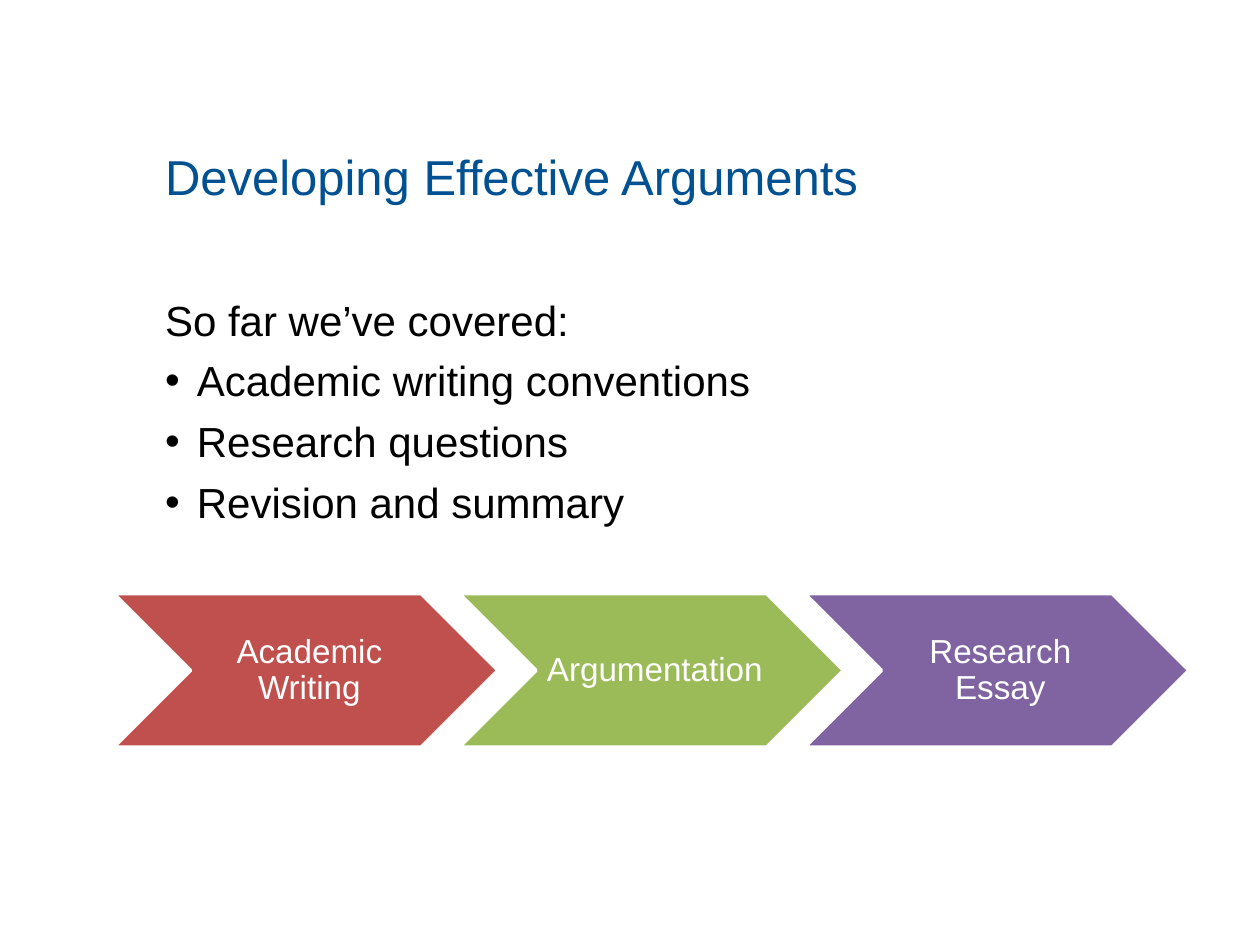
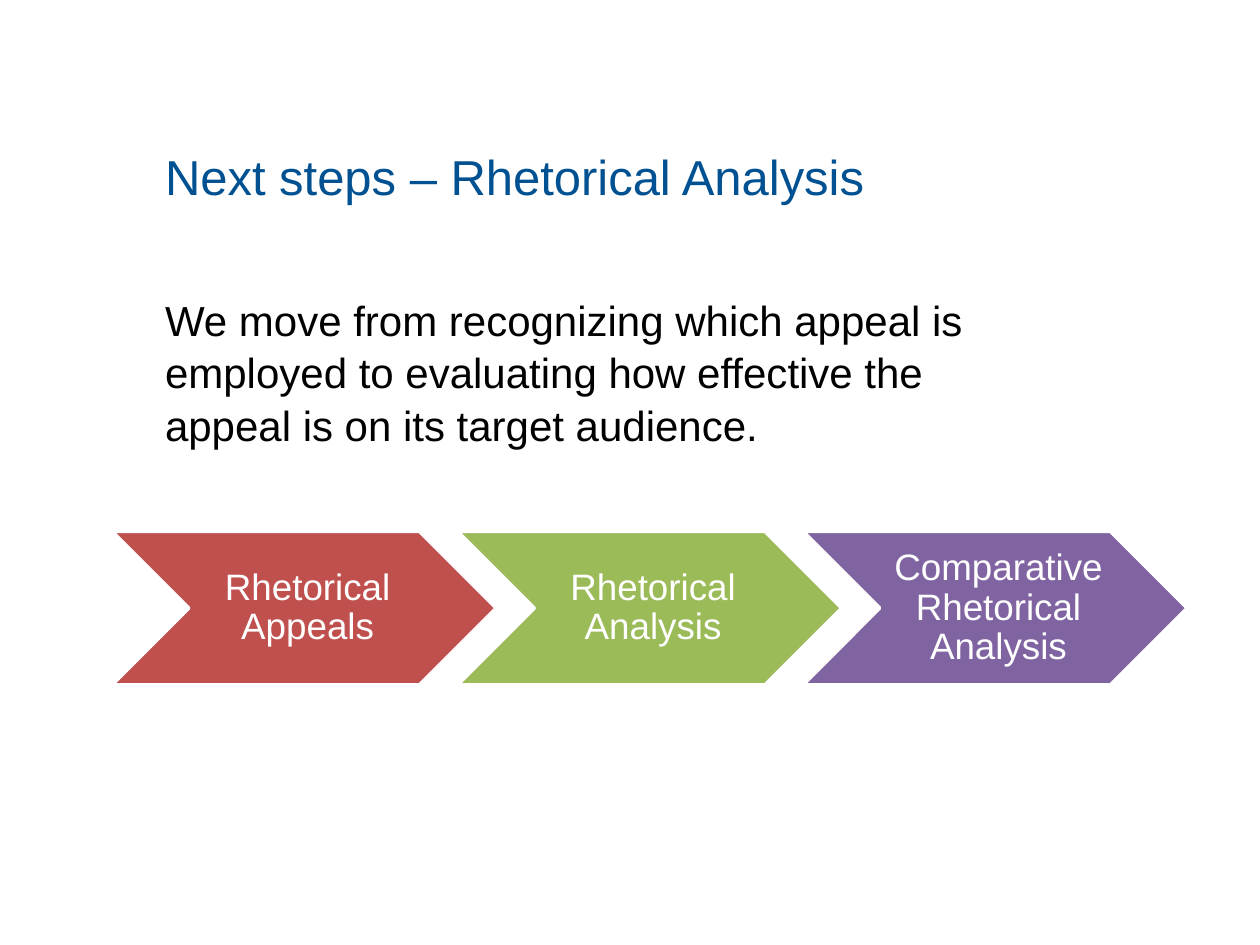
"""Build two slides on argument and rhetorical analysis, each with a chevron process."""
from lxml.etree import SubElement
from pptx import Presentation
from pptx.dml.color import RGBColor
from pptx.enum.shapes import MSO_SHAPE
from pptx.enum.text import MSO_ANCHOR, MSO_AUTO_SIZE, PP_ALIGN
from pptx.oxml.ns import qn
from pptx.util import Pt

COLORS = {
    "title": "005191",
    "body": "000000",
    "white": "FFFFFF",
    "red": "C0504D",
    "green": "9BBB59",
    "purple": "8064A2",
}
FONT = "Arial"
CHEVRON_FILLS = ("red", "green", "purple")
CHEVRON_WIDTH, CHEVRON_HEIGHT, CHEVRON_STEP = Pt(219.6), Pt(87.8), Pt(197.4)
BULLET_INDENT = Pt(18.2)
TITLE_PLACE = {"left": Pt(87.1), "top": Pt(55.4), "width": Pt(493.2), "height": Pt(90)}
BODY_PLACE = {"left": Pt(87.1), "top": Pt(159.8), "width": Pt(493.2), "height": Pt(301)}
TITLE_FRAME = {"vertical_anchor": MSO_ANCHOR.MIDDLE, "auto_size": MSO_AUTO_SIZE.NONE}
BODY_FRAME = {"vertical_anchor": MSO_ANCHOR.TOP, "auto_size": MSO_AUTO_SIZE.NONE,
              "margin_top": Pt(7.2)}
CHEVRON_FRAME = {"vertical_anchor": MSO_ANCHOR.MIDDLE, "word_wrap": True,
                 "margin_left": Pt(5.5), "margin_right": Pt(1.5),
                 "margin_top": Pt(2), "margin_bottom": Pt(2)}


def apply_format(target, values):
    for name, value in values.items():
        setattr(target, name, value)


def rgb(color):
    return RGBColor.from_string(COLORS[color])


def write_paragraph(paragraph, text, size, color, **layout):
    span = paragraph.add_run()
    span.text = text
    apply_format(span.font, {"name": FONT, "size": Pt(size)})
    span.font.color.rgb = rgb(color)
    apply_format(paragraph, layout)


def set_bullet(paragraph, bulleted):
    properties = paragraph._p.get_or_add_pPr()
    indent = BULLET_INDENT if bulleted else 0
    properties.set("marL", str(indent))
    properties.set("indent", str(-indent))
    if bulleted:
        SubElement(properties, qn("a:buFont"), typeface=FONT)
        SubElement(properties, qn("a:buChar"), char="•")
    else:
        SubElement(properties, qn("a:buNone"))


def fill_title(page, text):
    box = page.shapes.title
    apply_format(box, TITLE_PLACE)
    apply_format(box.text_frame, TITLE_FRAME)
    write_paragraph(box.text_frame.paragraphs[0], text, 28, "title",
                    alignment=PP_ALIGN.LEFT)


def fill_body(page, lead, bullets):
    box = page.placeholders[1]
    apply_format(box, BODY_PLACE)
    frame = box.text_frame
    apply_format(frame, BODY_FRAME)
    for index, text in enumerate((lead, *bullets)):
        paragraph = frame.add_paragraph() if index else frame.paragraphs[0]
        set_bullet(paragraph, index > 0)
        write_paragraph(paragraph, text, 24, "body", line_spacing=1.04,
                        space_before=Pt(4.8 if index else 0))


def add_chevrons(page, left, top, size, labels):
    for index, (label, color) in enumerate(zip(labels, CHEVRON_FILLS)):
        chevron = page.shapes.add_shape(
            MSO_SHAPE.CHEVRON, Pt(left) + index * CHEVRON_STEP, Pt(top),
            CHEVRON_WIDTH, CHEVRON_HEIGHT)
        chevron.shadow.inherit = False
        chevron.fill.solid()
        chevron.fill.fore_color.rgb = rgb(color)
        chevron.line.color.rgb = rgb("white")
        chevron.line.width = Pt(2)
        apply_format(chevron.text_frame, CHEVRON_FRAME)
        write_paragraph(chevron.text_frame.paragraphs[0], label, size, "white",
                        alignment=PP_ALIGN.CENTER, line_spacing=0.9)


def add_page(deck, title, lead, bullets=()):
    page = deck.slides.add_slide(deck.slide_layouts[1])
    fill_title(page, title)
    fill_body(page, lead, bullets)
    return page


def main():
    deck = Presentation()
    apply_format(deck, {"slide_width": Pt(720), "slide_height": Pt(540)})

    progress = add_page(
        deck, "Developing Effective Arguments", "So far we’ve covered:",
        ("Academic writing conventions", "Research questions", "Revision and summary"))
    add_chevrons(progress, 65, 339.2, 19,
                 ("Academic Writing", "Argumentation", "Research Essay"))

    next_steps = add_page(
        deck, "Next steps – Rhetorical Analysis",
        "We move from recognizing which appeal is employed to evaluating how "
        "effective the appeal is on its target audience.")
    add_chevrons(next_steps, 64, 303.6, 21,
                 ("Rhetorical Appeals", "Rhetorical Analysis",
                  "Comparative Rhetorical Analysis"))

    deck.save("out.pptx")


if __name__ == "__main__":
    main()
